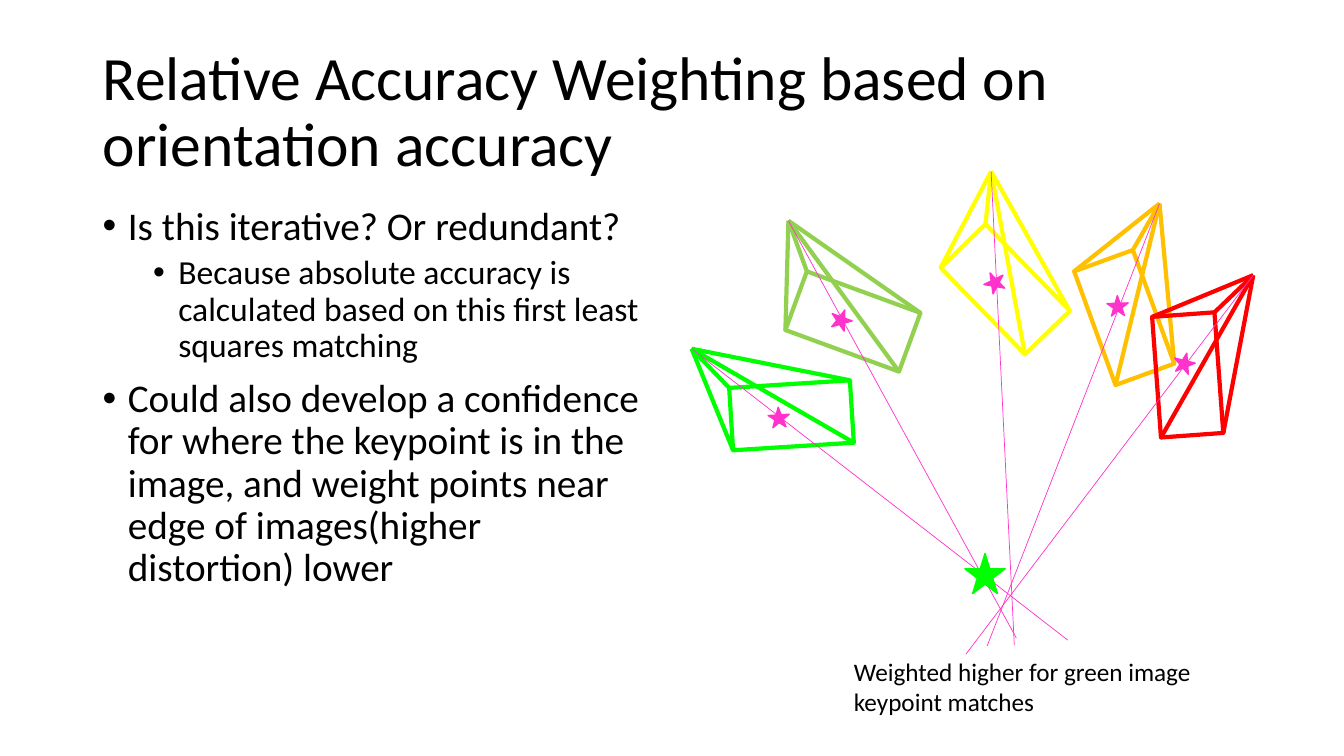
import math

from lxml import etree
from pptx import Presentation
from pptx.dml.color import RGBColor
from pptx.enum.shapes import MSO_CONNECTOR, MSO_SHAPE
from pptx.enum.text import MSO_ANCHOR, PP_ALIGN
from pptx.oxml.ns import qn
from pptx.util import Inches, Pt

STRAIGHT = MSO_CONNECTOR.STRAIGHT
RECTANGLE = MSO_SHAPE.RECTANGLE
STAR = MSO_SHAPE.STAR_5_POINT
LEFT = PP_ALIGN.LEFT
TOP = MSO_ANCHOR.TOP
MIDDLE = MSO_ANCHOR.MIDDLE

FONT = "Calibri"
BLACK = "000000"
PINK = "FF33CC"
GREEN = "00FF00"
IMAGE_SIZE = (1.2, 0.62)
KEYPOINT_SIZE = (0.21, 0.2)

# colour, apex, image centre, rotation, keypoint centre, ray end
CAMERAS = [
    (GREEN, (6.86, 3.46), (7.85, 4.12), 356.4, (7.725, 4.14), (10.59, 6.35)),
    ("FFC000", (11.5, 2.02), (11.15, 3.15), 70, (11.095, 3.04), (9.79, 6.41)),
    ("FFFF00", (9.83, 1.7), (9.97, 2.87), 45.8, (9.875, 2.8), (10.06, 6.4)),
    ("92D050", (7.82, 2.19), (8.46, 3.19), 20.1, (8.345, 3.17), (10.08, 6.33)),
    ("FF0000", (12.43, 2.73), (11.78, 3.72), 85.8, (11.755, 3.61), (9.58, 6.49)),
]

BULLETS = [
    (0, "Is this iterative? Or redundant?"),
    (1, "Because absolute accuracy is calculated based on this first least squares matching"),
    (0, "Could also develop a confidence for where the keypoint is in the image, "
        "and weight points near edge of images(higher distortion) lower"),
]


def colour(value):
    return RGBColor.from_string(value)


def style_font(para, size):
    para.font.name = FONT
    para.font.size = Pt(size)
    para.font.color.rgb = colour(BLACK)


def add_line(shapes, start, end, line_colour, width):
    line = shapes.add_connector(STRAIGHT, *(Inches(value) for value in (*start, *end)))
    line.line.color.rgb = colour(line_colour)
    line.line.width = Pt(width)
    etree.SubElement(line._element.spPr, qn("a:effectLst"))


def add_centred_shape(shapes, kind, centre, size, line_colour, width, rotation=0, filled=True):
    left, top = (middle - length / 2 for middle, length in zip(centre, size))
    shape = shapes.add_shape(kind, *(Inches(value) for value in (left, top, *size)))
    shape.rotation = rotation
    shape.shadow.inherit = False
    shape.line.color.rgb = colour(line_colour)
    shape.line.width = Pt(width)
    if filled:
        shape.fill.solid()
        shape.fill.fore_color.rgb = colour(line_colour)
    else:
        shape.fill.background()


def image_corners(centre, rotation):
    angle = math.radians(rotation)
    half_width, half_height = (length / 2 for length in IMAGE_SIZE)
    return [
        (centre[0] + x * math.cos(angle) - y * math.sin(angle),
         centre[1] + x * math.sin(angle) + y * math.cos(angle))
        for x in (-half_width, half_width)
        for y in (-half_height, half_height)
    ]


def add_camera(page, image_colour, apex, centre, rotation, keypoint, ray_end):
    shapes = page.shapes.add_group_shape().shapes
    for corner in image_corners(centre, rotation):
        add_line(shapes, apex, corner, image_colour, 3)
    add_centred_shape(shapes, RECTANGLE, centre, IMAGE_SIZE, image_colour, 3, rotation, False)
    add_line(shapes, apex, ray_end, PINK, 0.5)
    add_centred_shape(shapes, STAR, keypoint, KEYPOINT_SIZE, PINK, 1, rotation)


def add_title(page, text):
    title = page.shapes.title
    title.left, title.top = Inches(0.92), Inches(0.4)
    title.width, title.height = Inches(11.5), Inches(1.45)
    frame = title.text_frame
    frame.text = text
    frame.vertical_anchor = MIDDLE
    para = frame.paragraphs[0]
    para.alignment = LEFT
    para.line_spacing = 0.9
    style_font(para, 44)


def add_text_frame(page, left, top, width, height):
    box = page.shapes.add_textbox(Inches(left), Inches(top), Inches(width), Inches(height))
    box.text_frame.word_wrap = True
    box.text_frame.vertical_anchor = TOP
    return box.text_frame


def add_bullet(para, level):
    properties = para._p.get_or_add_pPr()
    properties.set("marL", str(Inches(0.25 + 0.5 * level)))
    properties.set("indent", str(Inches(-0.25)))
    etree.SubElement(properties, qn("a:buFont")).set("typeface", "Arial")
    etree.SubElement(properties, qn("a:buChar")).set("char", "•")


def add_bullets(page):
    frame = add_text_frame(page, 0.92, 2, 5.52, 4.76)
    for index, (level, text) in enumerate(BULLETS):
        para = frame.add_paragraph() if index else frame.paragraphs[0]
        para.text = text
        para.level = level
        add_bullet(para, level)
        para.line_spacing = 0.9
        if index:
            para.space_before = Pt(5 if level else 10)
        style_font(para, 24 if level else 28)


def add_caption(page, text):
    frame = add_text_frame(page, 8.37, 6.46, 3.59, 0.71)
    frame.text = text
    style_font(frame.paragraphs[0], 18)


def main():
    deck = Presentation()
    deck.slide_width, deck.slide_height = Inches(13.33), Inches(7.5)
    page = deck.slides.add_slide(deck.slide_layouts[5])
    add_title(page, "Relative Accuracy Weighting based on orientation accuracy")
    for camera in CAMERAS:
        add_camera(page, *camera)
    add_centred_shape(page.shapes, STAR, (9.77, 5.69), (0.4, 0.4), GREEN, 1)
    add_caption(page, "Weighted higher for green image keypoint matches")
    add_bullets(page)
    deck.save("out.pptx")


if __name__ == "__main__":
    main()
